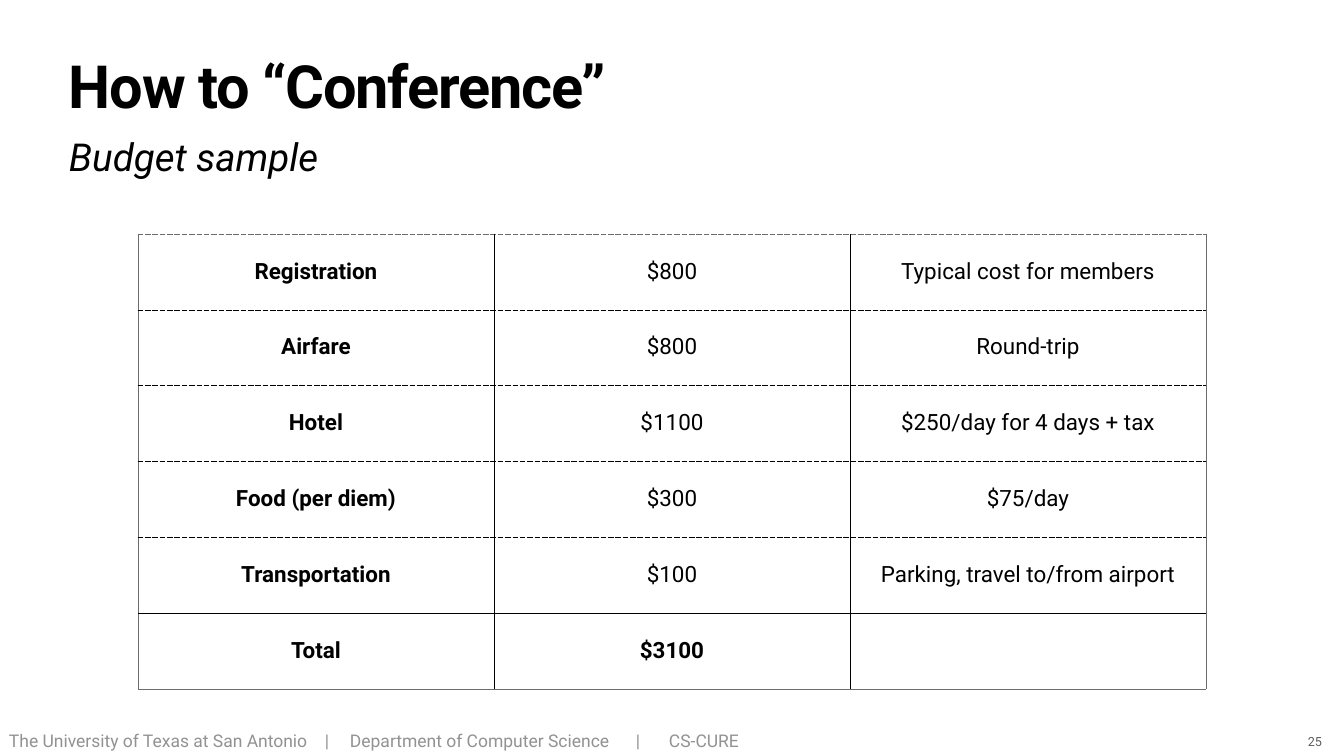
from lxml import etree
from pptx import Presentation
from pptx.dml.color import RGBColor
from pptx.enum.text import MSO_ANCHOR as Anchor, PP_ALIGN as Align
from pptx.oxml.ns import qn
from pptx.util import Pt

PX = 18143  # EMU per px
FONT = "Roboto"
BLACK, GRAY, FOOTER_GRAY, NUMBER_GRAY = "000000", "6C6C6C", "929292", "5E5E5E"

TITLE = "How to “Conference”"
SUBTITLE = "Budget sample"
FOOTER = ["The University of Texas at San Antonio", "|",
          "Department of Computer Science", "|", "CS-CURE"]
FOOTER_STOPS = [316, 341, 627, 660]
PAGE = "25"
BUDGET = [
    ("Registration", "$800", "Typical cost for members"),
    ("Airfare", "$800", "Round-trip"),
    ("Hotel", "$1100", "$250/day for 4 days + tax"),
    ("Food (per diem)", "$300", "$75/day"),
    ("Transportation", "$100", "Parking, travel to/from airport"),
    ("Total", "$3100", ""),
]
TABLE_BOX = (138, 234, 1068, 455)


def px(n):
    return round(n * PX)


def rgb(color):
    return RGBColor.from_string(color)


def write(tf, text, size, color=BLACK, bold=False, italic=False,
          align=Align.LEFT, line=1.0, tracking=0):
    """Put one formatted paragraph in a text frame; tracking is in points."""
    p = tf.paragraphs[0]
    p.alignment, p.line_spacing = align, line
    r = p.add_run()
    r.text = text
    f = r.font
    f.name, f.size, f.bold, f.italic = FONT, Pt(size), bold, italic
    f.color.rgb = rgb(color)
    if tracking:
        f._element.set("spc", str(round(tracking * 100)))
    return p


def text_box(slide, box, text, size, anchor=Anchor.TOP, **fmt):
    tf = slide.shapes.add_textbox(*map(px, box)).text_frame
    tf.word_wrap, tf.vertical_anchor = True, anchor
    tf.margin_left = tf.margin_right = tf.margin_top = tf.margin_bottom = px(3)
    return write(tf, text, size, **fmt)


def set_tab_stops(p, stops):
    tabs = etree.SubElement(p._p.get_or_add_pPr(), qn("a:tabLst"))
    for stop in stops:
        etree.SubElement(tabs, qn("a:tab"), pos=str(px(stop)), algn="l")


def set_border(cell, side, color, dash):
    tc_pr = cell._tc.get_or_add_tcPr()
    ln = etree.SubElement(tc_pr, qn(f"a:ln{side}"), w=str(Pt(1)))
    fill = etree.SubElement(ln, qn("a:solidFill"))
    etree.SubElement(fill, qn("a:srgbClr"), val=color)
    etree.SubElement(ln, qn("a:prstDash"), val=dash)


def add_budget(slide):
    rows, cols = len(BUDGET), len(BUDGET[0])
    table = slide.shapes.add_table(rows, cols, *map(px, TABLE_BOX)).table
    table.first_row = table.horz_banding = False
    for column in table.columns:
        column.width = px(TABLE_BOX[2] / cols)
    for row in table.rows:
        row.height = px(TABLE_BOX[3] / rows)
    last = rows - 1
    for i, texts in enumerate(BUDGET):
        for j, text in enumerate(texts):
            cell = table.cell(i, j)
            cell.vertical_anchor = Anchor.MIDDLE
            cell.margin_left = cell.margin_right = px(3)
            cell.margin_top = cell.margin_bottom = px(3)
            if text:
                write(cell.text_frame, text, 32, bold=j == 0 or i == last,
                      align=Align.CENTER, line=0.9)
            set_border(cell, "L", BLACK if j else GRAY, "solid")
            set_border(cell, "R", BLACK if j < cols - 1 else GRAY, "solid")
            set_border(cell, "T", BLACK if i else GRAY,
                       "lgDash" if i < last else "solid")
            set_border(cell, "B", BLACK if i < last else GRAY,
                       "lgDash" if i < last - 1 else "solid")
            cell.fill.background()


def main():
    prs = Presentation()
    prs.slide_width, prs.slide_height = px(1344), px(756)
    slide = prs.slides.add_slide(prs.slide_layouts[6])
    footer = text_box(slide, (6, 729, 1284, 26), "\t".join(FOOTER), 25,
                      anchor=Anchor.MIDDLE, color=FOOTER_GRAY, line=0.9)
    set_tab_stops(footer, FOOTER_STOPS)
    text_box(slide, (66, 60, 1211, 79), TITLE, 85, bold=True, line=0.8,
             tracking=-1.7)
    text_box(slide, (66, 130, 1211, 51), SUBTITLE, 55, italic=True)
    text_box(slide, (1300, 731, 30, 21), PAGE, 18, anchor=Anchor.BOTTOM,
             color=NUMBER_GRAY, align=Align.CENTER)
    add_budget(slide)
    prs.save("out.pptx")


if __name__ == "__main__":
    main()
